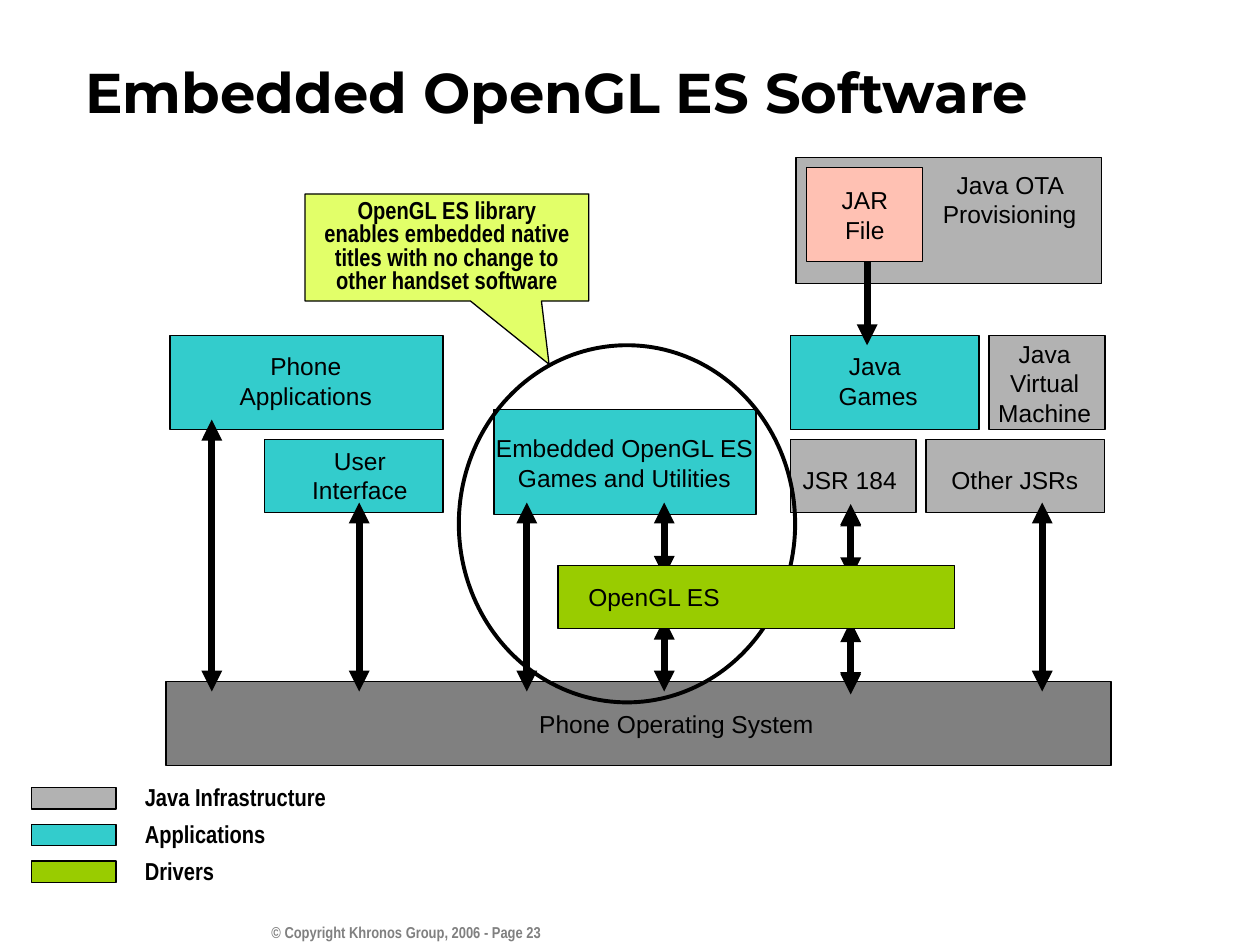
import pptx
import pptx.util
import pptx.dml.color
import pptx.enum.shapes
import pptx.enum.text
import pptx.oxml
import pptx.oxml.ns

Cm = pptx.util.Cm
Pt = pptx.util.Pt
RGBColor = pptx.dml.color.RGBColor
MSO_SHAPE = pptx.enum.shapes.MSO_SHAPE
PP_ALIGN = pptx.enum.text.PP_ALIGN
MIDDLE = pptx.enum.text.MSO_ANCHOR.MIDDLE
LEFT, CENTER, RIGHT = PP_ALIGN.LEFT, PP_ALIGN.CENTER, PP_ALIGN.RIGHT

BLACK = RGBColor(0x00, 0x00, 0x00)
DARK_GRAY = RGBColor(0x80, 0x80, 0x80)
JAVA_GRAY = RGBColor(0xB2, 0xB2, 0xB2)
APP_TEAL = RGBColor(0x33, 0xCC, 0xCC)
DRIVER_GREEN = RGBColor(0x99, 0xCC, 0x00)
JAR_PINK = RGBColor(0xFF, 0xC1, 0xB3)
NOTE_YELLOW = RGBColor(0xE2, 0xFF, 0x69)

prs = pptx.Presentation()
prs.slide_width = Cm(25.4)
prs.slide_height = Cm(19.05)
s = prs.slides.add_slide(prs.slide_layouts[6])


def add_box(bounds, fill, preset=MSO_SHAPE.RECTANGLE, width=0.75):
    sp = s.shapes.add_shape(preset, *[Cm(v) for v in bounds])
    sp.shadow.inherit = False
    if fill is None:
        sp.fill.background()
    else:
        sp.fill.solid()
        sp.fill.fore_color.rgb = fill
    sp.line.color.rgb = BLACK
    sp.line.width = Pt(width)
    return sp


def add_text(bounds, text, align=CENTER, font="Arial", size=14, bold=False, color=BLACK, sp=None):
    sp = sp or s.shapes.add_textbox(*[Cm(v) for v in bounds])
    tf = sp.text_frame
    tf.word_wrap = True
    tf.text = text
    p = tf.paragraphs[0]
    p.alignment = align
    p.font.name = font
    p.font.size = Pt(size)
    p.font.bold = bold
    p.font.color.rgb = color
    return tf


add_text((5.08, 18.47, 6.07, 0.84), "© Copyright Khronos Group, 2006 - Page 23",
         RIGHT, "Arial Narrow", 9, True, DARK_GRAY)
tf = add_text((1.47, 1.3, 23.8, 1.07), "Embedded OpenGL ES Software", LEFT, "Montserrat", 32, True)
tf.vertical_anchor = MIDDLE

blocks = [
    ((3.35, 13.74, 19.05, 1.7), DARK_GRAY, (10.62, 14.17, 7.19, 0.86), "Phone Operating System", LEFT),
    ((9.96, 8.26, 5.28, 2.11), APP_TEAL, (9.69, 8.61, 5.8, 1.45),
     "Embedded OpenGL ES Games and Utilities", CENTER),
    ((19.94, 6.76, 2.34, 1.9), JAVA_GRAY, (19.69, 6.71, 2.74, 2.03), "Java Virtual Machine", CENTER),
    ((15.93, 8.86, 2.54, 1.47), JAVA_GRAY, (15.93, 9.25, 2.54, 0.86), "JSR 184", LEFT),
    ((18.67, 8.86, 3.6, 1.47), JAVA_GRAY, (18.87, 9.25, 3.18, 0.86), "Other JSRs", CENTER),
    ((15.93, 6.76, 3.81, 1.9), APP_TEAL, (15.7, 6.96, 4.01, 1.45), "Java \vGames", CENTER),
    ((5.33, 8.86, 3.6, 1.47), APP_TEAL, (5.77, 8.86, 2.97, 1.45), "User Interface", CENTER),
    ((3.43, 6.76, 5.5, 1.9), APP_TEAL, (4.45, 6.96, 3.43, 1.45), "Phone Applications", CENTER),
    ((16.05, 3.18, 6.15, 2.54), JAVA_GRAY, (18.64, 3.3, 3.43, 1.45), "Java OTA Provisioning", CENTER),
    ((16.26, 3.38, 2.34, 1.9), JAR_PINK, (15.72, 3.61, 3.43, 1.45), "JAR\vFile", CENTER),
]
for box, fill, label, text, align in blocks:
    add_box(box, fill)
    add_text(label, text, align)

arrows = [
    (4.27, 8.46, 13.94, True),
    (7.24, 10.13, 13.94, True),
    (10.62, 10.13, 13.94, True),
    (13.39, 10.13, 11.63, True),
    (13.39, 12.47, 13.94, True),
    (17.15, 10.19, 11.66, True),
    (17.15, 12.52, 14, True),
    (17.15, 10.16, 13.97, True),
    (21.01, 10.13, 13.94, True),
    (17.48, 5.28, 6.96, False),
]
for x, top, bottom, two_way in arrows:
    c = s.shapes.add_connector(pptx.enum.shapes.MSO_CONNECTOR.STRAIGHT,
                               Cm(x), Cm(top), Cm(x), Cm(bottom))
    c.line.color.rgb = BLACK
    c.line.width = Pt(4)
    ln = c.line._get_or_add_ln()
    for end in ("headEnd", "tailEnd") if two_way else ("tailEnd",):
        ln.append(pptx.oxml.parse_xml(
            f'<a:{end} {pptx.oxml.ns.nsdecls("a")} type="triangle"/>'))
    c._element.spPr.append(pptx.oxml.parse_xml(
        f'<a:effectLst {pptx.oxml.ns.nsdecls("a")}/>'))

add_box((9.25, 6.96, 6.78, 7.2), None, MSO_SHAPE.OVAL, 2.25)

note = (6.15, 3.91, 5.72, 2.16)
sp = add_box(note, NOTE_YELLOW, MSO_SHAPE.RECTANGULAR_CALLOUT)
sp.adjustments[0] = 0.36
sp.adjustments[1] = 1.09
tf = add_text(note, "OpenGL ES library enables embedded native titles with no change to other handset software",
              font="Arial Narrow", bold=True, sp=sp)
tf.vertical_anchor = MIDDLE
tf.paragraphs[0].line_spacing = 0.8

legend = [("Java Infrastructure", JAVA_GRAY), ("Applications", APP_TEAL), ("Drivers", DRIVER_GREEN)]
for i, (text, fill) in enumerate(legend):
    y = 15.88 + 0.74 * i
    add_box((0.64, y, 1.7, 0.43), fill)
    add_text((2.67, y - 0.23, 5, 0.86), text, LEFT, "Arial Narrow", bold=True)

add_box((11.25, 11.4, 8, 1.27), DRIVER_GREEN)
add_text((11.61, 11.61, 7, 0.86), "OpenGL ES", LEFT)

prs.save("out.pptx")
